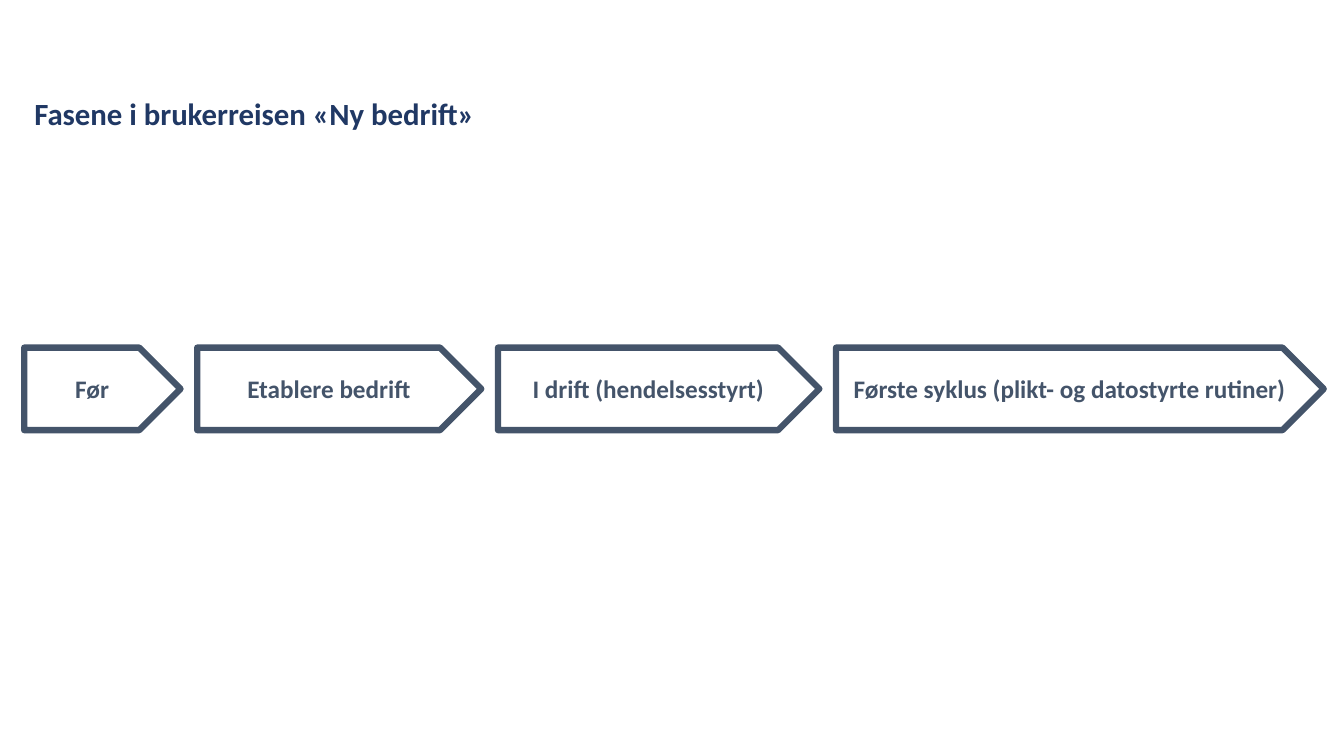
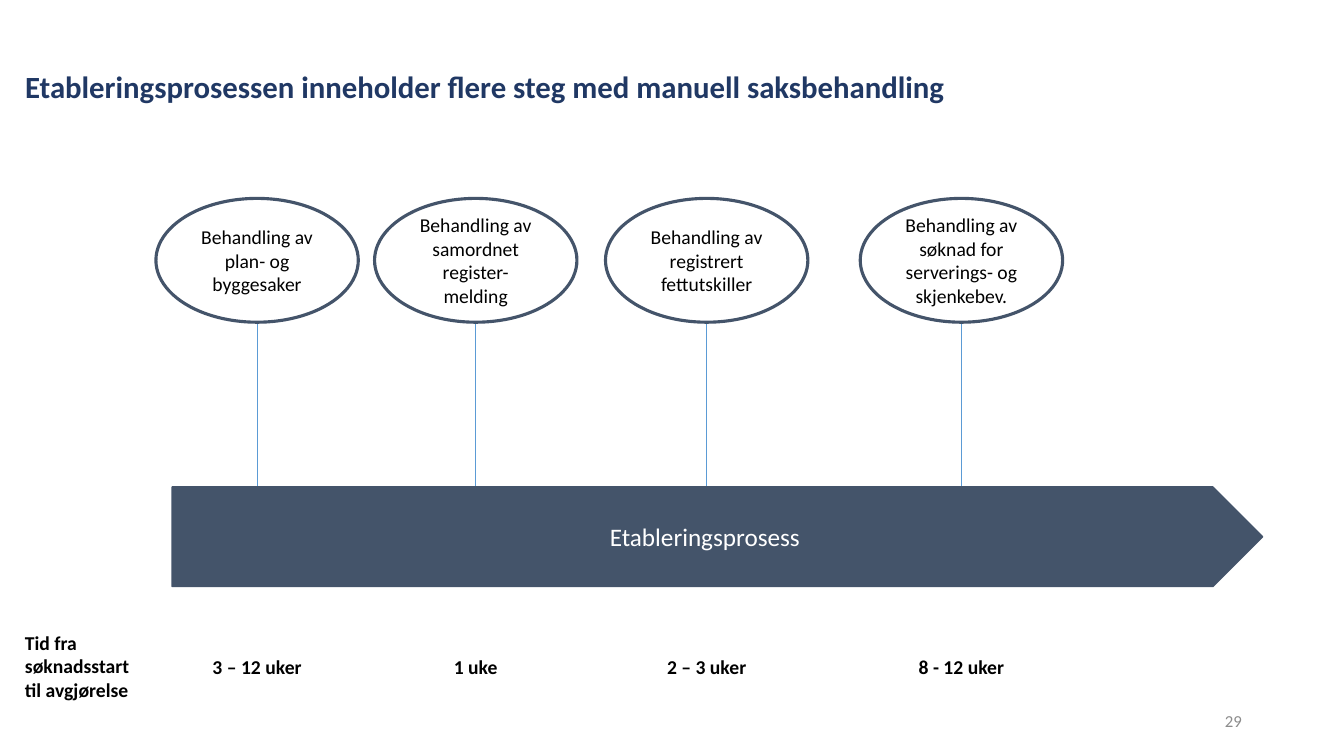
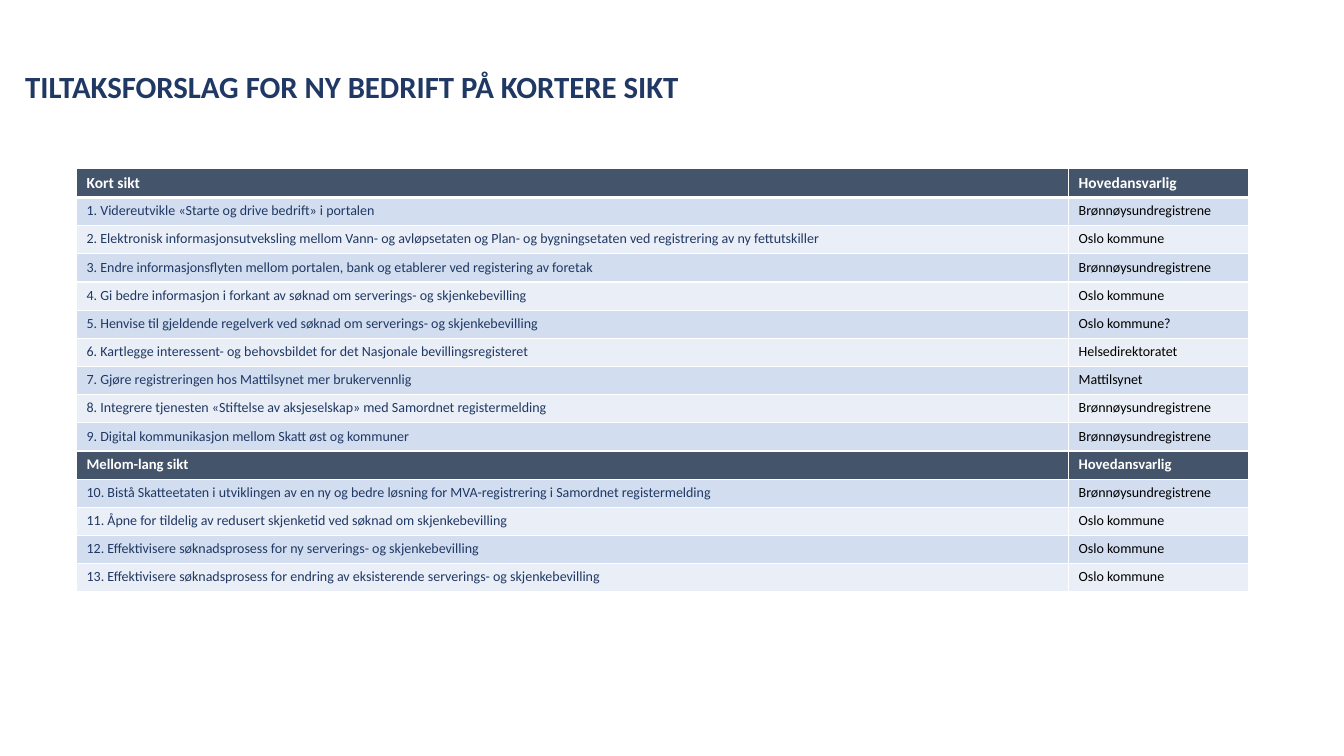
"""Builds three slides on the user journey for starting a business."""
from lxml import etree
from pptx import Presentation
from pptx import util as u
from pptx.dml import color
from pptx.enum import shapes, text
from pptx.oxml import ns

COLORS = {
    "navy": "203864", "slate": "44546A", "blue": "5B9BD5", "grey": "8C8C8C",
    "white": "FFFFFF", "black": "000000", "band_dark": "D2DEEF", "band_light": "EAEFF7",
}
FONT = "Calibri"
TITLE_BOX = (0.38, 1.57, 33.1, 2.16)
PHASES = [
    ("Før", 3.94),
    ("Etablere bedrift", 7.16),
    ("I drift (hendelsesstyrt)", 8.1),
    ("Første syklus (plikt- og datostyrte rutiner)", 12.29),
]
STEPS = [
    ("Behandling av plan- og byggesaker", "3 – 12 uker", 6.1),
    ("Behandling av samordnet register- melding", "1 uke", 11.61),
    ("Behandling av registrert fettutskiller", "2 – 3 uker", 17.43),
    ("Behandling av søknad for serverings- og skjenkebev.", "8 - 12 uker", 23.85),
]
REGISTER, CITY = "Brønnøysundregistrene", "Oslo kommune"
MEASURES = [
    ("Kort sikt", 11, [
        ("Videreutvikle «Starte og drive bedrift» i portalen", REGISTER),
        ("Elektronisk informasjonsutveksling mellom Vann- og avløpsetaten og "
         "Plan- og bygningsetaten ved registrering av ny fettutskiller", CITY),
        ("Endre informasjonsflyten mellom portalen, bank og etablerer "
         "ved registering av foretak", REGISTER),
        ("Gi bedre informasjon i forkant av søknad om serverings- og skjenkebevilling", CITY),
        ("Henvise til gjeldende regelverk ved søknad om serverings- og skjenkebevilling",
         "Oslo kommune?"),
        ("Kartlegge interessent- og behovsbildet for det Nasjonale bevillingsregisteret",
         "Helsedirektoratet"),
        ("Gjøre registreringen hos Mattilsynet mer brukervennlig", "Mattilsynet"),
        ("Integrere tjenesten «Stiftelse av aksjeselskap» med Samordnet registermelding",
         REGISTER),
        ("Digital kommunikasjon mellom Skatt øst og kommuner", REGISTER),
    ]),
    ("Mellom-lang sikt", 10.5, [
        ("Bistå Skatteetaten i utviklingen av en ny og bedre løsning for "
         "MVA-registrering i Samordnet registermelding", REGISTER),
        ("Åpne for tildelig av redusert skjenketid ved søknad om skjenkebevilling", CITY),
        ("Effektivisere søknadsprosess for ny serverings- og skjenkebevilling", CITY),
        ("Effektivisere søknadsprosess for endring av eksisterende serverings- "
         "og skjenkebevilling", CITY),
    ]),
]


def rgb(name):
    """Return the named colour."""
    return color.RGBColor.from_string(COLORS[name])


def cm(*lengths):
    """Convert centimetre values to lengths."""
    return [u.Cm(length) for length in lengths]


def write(frame, words, size, ink, bold=False, align=text.PP_ALIGN.LEFT):
    """Fill a text frame with one formatted paragraph."""
    para = frame.paragraphs[0]
    para.text = words
    para.alignment = align
    para.font.name = FONT
    para.font.size = u.Pt(size)
    para.font.bold = bold
    para.font.color.rgb = rgb(ink)


def add_titled_page(deck, words, box=TITLE_BOX, anchor=text.MSO_ANCHOR.TOP):
    """Add a title-only slide and style its title."""
    page = deck.slides.add_slide(deck.slide_layouts[5])
    title = page.shapes.title
    title.left, title.top, title.width, title.height = cm(*box)
    frame = title.text_frame
    frame.word_wrap = True
    frame.auto_size = text.MSO_AUTO_SIZE.NONE
    frame.vertical_anchor = anchor
    write(frame, words, 22, "navy", True)
    return page


def add_label(page, box, words, size=14, ink="black", bold=True,
              align=text.PP_ALIGN.CENTER, anchor=text.MSO_ANCHOR.MIDDLE):
    """Add a wrapped text box."""
    frame = page.shapes.add_textbox(*cm(*box)).text_frame
    frame.word_wrap = True
    frame.vertical_anchor = anchor
    write(frame, words, size, ink, bold, align)


def add_figure(page, kind, box, words, size, ink, line_width, fill=None, bold=False):
    """Add a slate-outlined shape with centred text."""
    figure = page.shapes.add_shape(kind, *cm(*box))
    figure.shadow.inherit = False
    if fill:
        figure.fill.solid()
        figure.fill.fore_color.rgb = rgb(fill)
    else:
        figure.fill.background()
    figure.line.color.rgb = rgb("slate")
    figure.line.width = u.Pt(line_width)
    figure.text_frame.word_wrap = True
    figure.text_frame.vertical_anchor = text.MSO_ANCHOR.MIDDLE
    write(figure.text_frame, words, size, ink, bold, text.PP_ALIGN.CENTER)


def add_stem(page, x, top, bottom):
    """Add a thin vertical line."""
    stem = page.shapes.add_connector(shapes.MSO_CONNECTOR.STRAIGHT, *cm(x, top, x, bottom))
    stem.line.color.rgb = rgb("blue")
    stem.line.width = u.Pt(0.5)
    etree.SubElement(stem.element.spPr, ns.qn("a:effectLst"))


def add_phases(page, left, top, height, gap):
    """Lay the phase arrows out in a row."""
    for words, width in PHASES:
        add_figure(page, shapes.MSO_SHAPE.PENTAGON, (left, top, width, height),
                   words, 18, "slate", 4.5, bold=True)
        left += width + gap


def add_process(page, left, top):
    """Draw the steps, the process arrow and the durations from a corner."""
    oval_width, oval_height, label_width = 5.1, 3.12, 3.56
    for words, duration, offset in STEPS:
        center = left + offset
        add_stem(page, center, top + oval_height, top + 8.46)
        add_figure(page, shapes.MSO_SHAPE.OVAL,
                   (center - oval_width / 2, top, oval_width, oval_height),
                   words, 14, "black", 2.25)
        add_label(page, (center - label_width / 2, top + 11.38, label_width, 0.86), duration)
    add_figure(page, shapes.MSO_SHAPE.PENTAGON, (left + 3.96, top + 7.27, 27.48, 2.51),
               "Etableringsprosess", 18, "white", 1, "slate")
    add_label(page, (left, top + 10.77, label_width, 2.06),
              "Tid fra søknadsstart til avgjørelse",
              align=text.PP_ALIGN.LEFT, anchor=text.MSO_ANCHOR.TOP)


def set_borders(cell, top, bottom):
    """Give a cell white borders, with top and bottom widths in points."""
    properties = cell._tc.get_or_add_tcPr()
    for index, (side, width) in enumerate(zip("LRTB", (1, 1, top, bottom))):
        line = etree.Element(ns.qn(f"a:ln{side}"), w=str(u.Pt(width)))
        fill = etree.SubElement(line, ns.qn("a:solidFill"))
        etree.SubElement(fill, ns.qn("a:srgbClr"), val=COLORS["white"])
        properties.insert(index, line)


def measure_rows():
    """List each row as its texts, size, inks and heading flag."""
    rows, number = [], 0
    for heading, size, measures in MEASURES:
        rows.append(((heading, "Hovedansvarlig"), size, ("white", "white"), True))
        for measure, owner in measures:
            number += 1
            rows.append(((f"{number}. {measure}", owner), 10, ("navy", "black"), False))
    return rows


def add_measures(page, left, top, widths, row_height):
    """Add the table of measures and those responsible."""
    rows = measure_rows()
    table = page.shapes.add_table(len(rows), len(widths), *cm(
        left, top, sum(widths), row_height * len(rows))).table
    for column, width in zip(table.columns, widths):
        column.width = u.Cm(width)
    for index, (words, size, inks, heading) in enumerate(rows):
        table.rows[index].height = u.Cm(row_height)
        band = "slate" if heading else "band_dark" if index % 2 else "band_light"
        for cell, entry, ink in zip(table.rows[index].cells, words, inks):
            cell.fill.solid()
            cell.fill.fore_color.rgb = rgb(band)
            set_borders(cell, 3 if index == 1 else 1, 3 if index == 0 else 1)
            write(cell.text_frame, entry, size, ink, heading)


def main():
    """Build and save the deck."""
    deck = Presentation()
    deck.slide_width, deck.slide_height = cm(33.87, 19.05)

    page = add_titled_page(deck, "Fasene i brukerreisen «Ny bedrift»",
                           (0.61, 1.02, 29.21, 3.68), text.MSO_ANCHOR.MIDDLE)
    add_phases(page, 0.61, 8.76, 2.08, 0.42)

    page = add_titled_page(
        deck, "Etableringsprosessen inneholder flere steg med manuell saksbehandling")
    add_process(page, 0.38, 5)
    add_label(page, (23.93, 17.65, 7.62, 1.02), "29", 12, "grey", False, text.PP_ALIGN.RIGHT)

    page = add_titled_page(deck, "TILTAKSFORSLAG FOR NY BEDRIFT PÅ KORTERE SIKT")
    add_measures(page, 1.93, 4.24, (25, 4.54), 0.71)

    deck.save("out.pptx")


if __name__ == "__main__":
    main()
